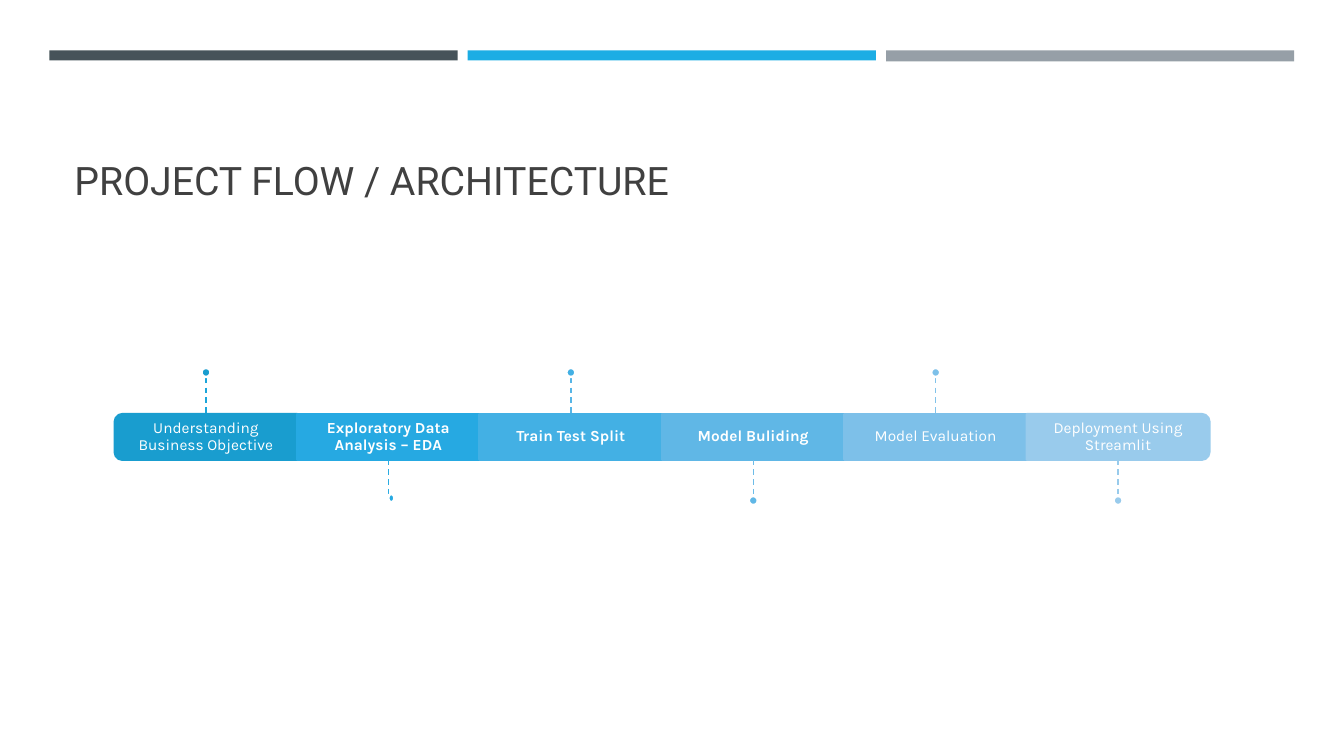
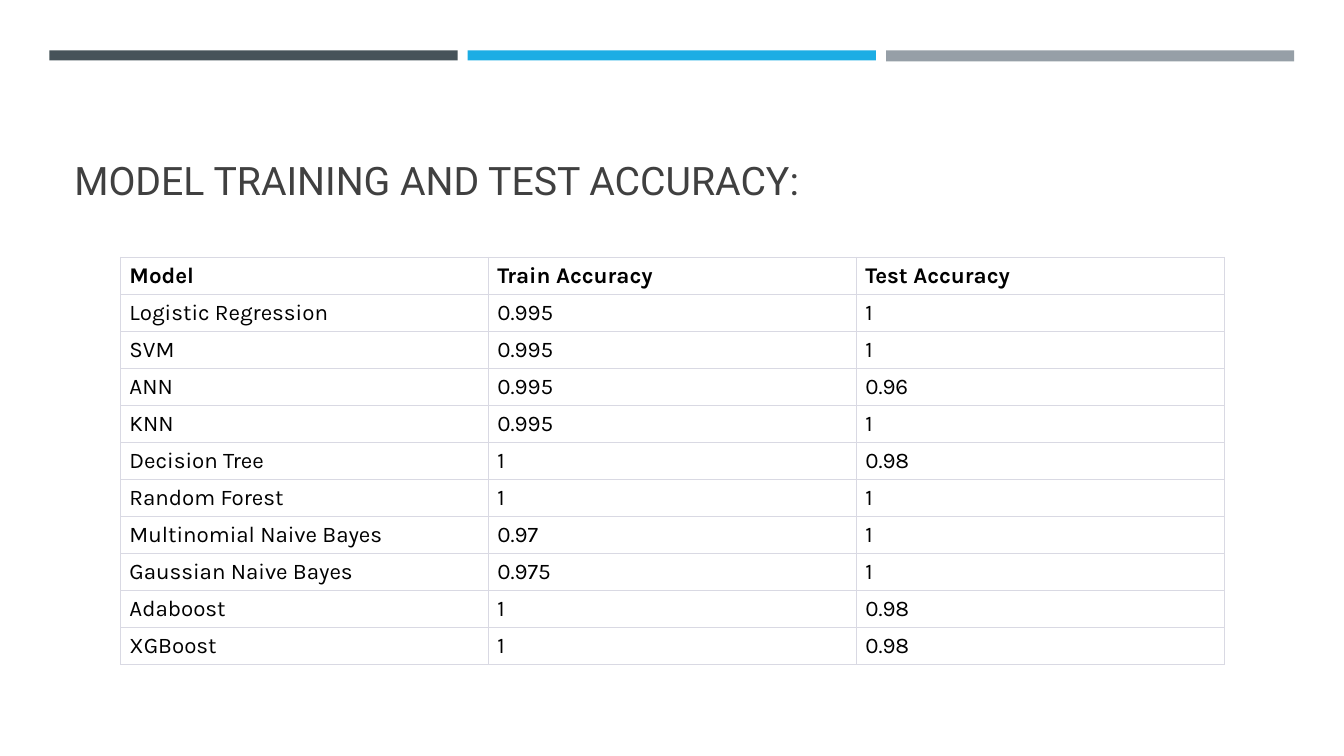
from lxml.etree import SubElement
from pptx import Presentation
from pptx.dml.color import RGBColor
from pptx.enum.dml import MSO_LINE
from pptx.enum.shapes import MSO_CONNECTOR, MSO_SHAPE
from pptx.enum.text import MSO_ANCHOR, PP_ALIGN
from pptx.oxml.ns import qn
from pptx.util import Pt

WHITE, BLACK, TITLE_GREY, GRID = "FFFFFF", "000000", "404040", "D9D9E3"
BANDS = [("465359", 7.2), ("1CADE4", 7.2), ("969FA7", 7.9)]  # colour, height
TITLE_FONT, BODY_FONT = "Roboto", "Karla"

# label, bold, tile colour, pin colour
STEPS = [
    ("Understanding Business Objective", False, "199DCF", "1BA5DA"),
    ("Exploratory Data Analysis – EDA", True, "26A9E2", "2AACE3"),
    ("Train Test Split", True, "43B0E4", "57B5E6"),
    ("Model Buliding", True, "60B7E6", "6DBCE8"),
    ("Model Evaluation", False, "7DC0E9", "82C3EA"),
    ("Deployment Using Streamlit", False, "99CBEC", "98CBEC"),
]
# step index: left and top shift from the usual place, width, height
DOT_EXCEPTIONS = {1: (3.2, -1.4, 4.3, 5.8)}

ACCURACY = [
    ("Model", "Train Accuracy", "Test Accuracy"),
    ("Logistic Regression", "0.995", "1"),
    ("SVM", "0.995", "1"),
    ("ANN", "0.995", "0.96"),
    ("KNN", "0.995", "1"),
    ("Decision Tree", "1", "0.98"),
    ("Random Forest", "1", "1"),
    ("Multinomial Naive Bayes", "0.97", "1"),
    ("Gaussian Naive Bayes", "0.975", "1"),
    ("Adaboost", "1", "0.98"),
    ("XGBoost", "1", "0.98"),
]


def rgb(code):
    return RGBColor.from_string(code)


def add_run(p, text, size, color, font=BODY_FONT, bold=False):
    r = p.add_run()
    r.text = text
    r.font.size, r.font.name, r.font.bold = Pt(size), font, bold
    r.font.color.rgb = rgb(color)


def add_box(slide, kind, x, y, w, h, fill, line=None):
    s = slide.shapes.add_shape(kind, Pt(x), Pt(y), Pt(w), Pt(h))
    s.shadow.inherit = False
    s.fill.solid()
    s.fill.fore_color.rgb = rgb(fill)
    if line:
        s.line.color.rgb = rgb(line)
        s.line.width = Pt(1.75)
    else:
        s.line.fill.background()
    return s


def add_base(prs, title):
    """Add a slide with the three top bands and its title."""
    slide = prs.slides.add_slide(prs.slide_layouts[6])
    for i, (color, height) in enumerate(BANDS):
        add_box(slide, MSO_SHAPE.RECTANGLE, 35.3 + i * 298.8, 36, 291.6, height, color)
    tf = slide.shapes.add_textbox(Pt(46.1), Pt(55.4), Pt(868.3), Pt(93.6)).text_frame
    tf.word_wrap = True
    tf.vertical_anchor = MSO_ANCHOR.BOTTOM
    add_run(tf.paragraphs[0], title, 28, TITLE_GREY, TITLE_FONT)
    return slide


def add_label(slide, text, bold, x, y, w, h):
    tf = slide.shapes.add_textbox(Pt(x), Pt(y), Pt(w), Pt(h)).text_frame
    tf.word_wrap = True
    tf.vertical_anchor = MSO_ANCHOR.MIDDLE
    tf.margin_left = tf.margin_right = tf.margin_top = tf.margin_bottom = Pt(6.5)
    p = tf.paragraphs[0]
    p.alignment = PP_ALIGN.CENTER
    p.line_spacing = 0.9
    add_run(p, text, 11, WHITE, bold=bold)


def add_pin(slide, x, edge, up, color, dot_color, exception=None):
    """Draw a dashed line from the tile edge, ending in a dot."""
    length, dot = 25.9, 6.5
    end = edge - length if up else edge + length
    c = slide.shapes.add_connector(
        MSO_CONNECTOR.STRAIGHT, Pt(x), Pt(min(edge, end)), Pt(x), Pt(max(edge, end)))
    c.line.color.rgb = rgb(color)
    c.line.width = Pt(1)
    c.line.dash_style = MSO_LINE.DASH
    SubElement(c._element.spPr, qn("a:effectLst"))
    dx, dy, w, h = exception or (0, 0, dot, dot)
    top = end - dot - 0.6 if up else end
    add_box(slide, MSO_SHAPE.OVAL, x - dot / 2 + dx, top + dy, w, h, dot_color, WHITE)


def add_timeline(slide, x, y, w, h):
    """Fill the box with a bar of equal tiles, pinned alternately above and below."""
    tile_w = w / len(STEPS)
    rotations = {0: 270, len(STEPS) - 1: 90}
    for i, (text, bold, color, pin_color) in enumerate(STEPS):
        left = x + i * tile_w
        middle = left + tile_w / 2
        if i in rotations:
            tile = add_box(slide, MSO_SHAPE.ROUND_2_SAME_RECTANGLE, middle - h / 2,
                           y + h / 2 - tile_w / 2, h, tile_w, color, color)
            tile.rotation = rotations[i]
        else:
            add_box(slide, MSO_SHAPE.RECTANGLE, left, y, tile_w, h, color, color)
        add_label(slide, text, bold, left, y, tile_w, h)
        up = i % 2 == 0
        add_pin(slide, middle, y if up else y + h, up, pin_color, color,
                DOT_EXCEPTIONS.get(i))


def set_borders(cell, widths):
    """Draw the cell's left, right, top and bottom borders."""
    tc_pr = cell._tc.get_or_add_tcPr()
    for side, width in zip("LRTB", widths):
        ln = SubElement(tc_pr, qn("a:ln" + side), w=str(Pt(width)))
        SubElement(SubElement(ln, qn("a:solidFill")), qn("a:srgbClr"), val=GRID)


def add_accuracy_table(slide, x, y, w, h):
    rows, cols = len(ACCURACY), len(ACCURACY[0])
    table = slide.shapes.add_table(rows, cols, Pt(x), Pt(y), Pt(w), Pt(h)).table
    table.horz_banding = False
    for column in table.columns:
        column.width = Pt(w / cols)
    for i, values in enumerate(ACCURACY):
        table.rows[i].height = Pt(h / rows)
        header = i == 0
        top = 0.6 if header else 1
        bottom = 0.6 if i == rows - 1 else 1
        for j, value in enumerate(values):
            cell = table.cell(i, j)
            set_borders(cell, (0.6, 0.6, top, bottom))
            cell.fill.background()
            cell.margin_left = cell.margin_right = Pt(6.5)
            cell.margin_top = cell.margin_bottom = Pt(3.6)
            cell.vertical_anchor = MSO_ANCHOR.BOTTOM if header else MSO_ANCHOR.MIDDLE
            add_run(cell.text_frame.paragraphs[0], value, 16, BLACK, bold=header)


def main():
    prs = Presentation()
    prs.slide_width, prs.slide_height = Pt(960), Pt(540)
    add_timeline(add_base(prs, "PROJECT FLOW / ARCHITECTURE"), 82, 295.8, 781.8, 32.6)
    add_accuracy_table(add_base(prs, "MODEL TRAINING AND TEST ACCURACY:"),
                       86, 183.8, 788.4, 287.6)
    prs.save("out.pptx")


if __name__ == "__main__":
    main()
